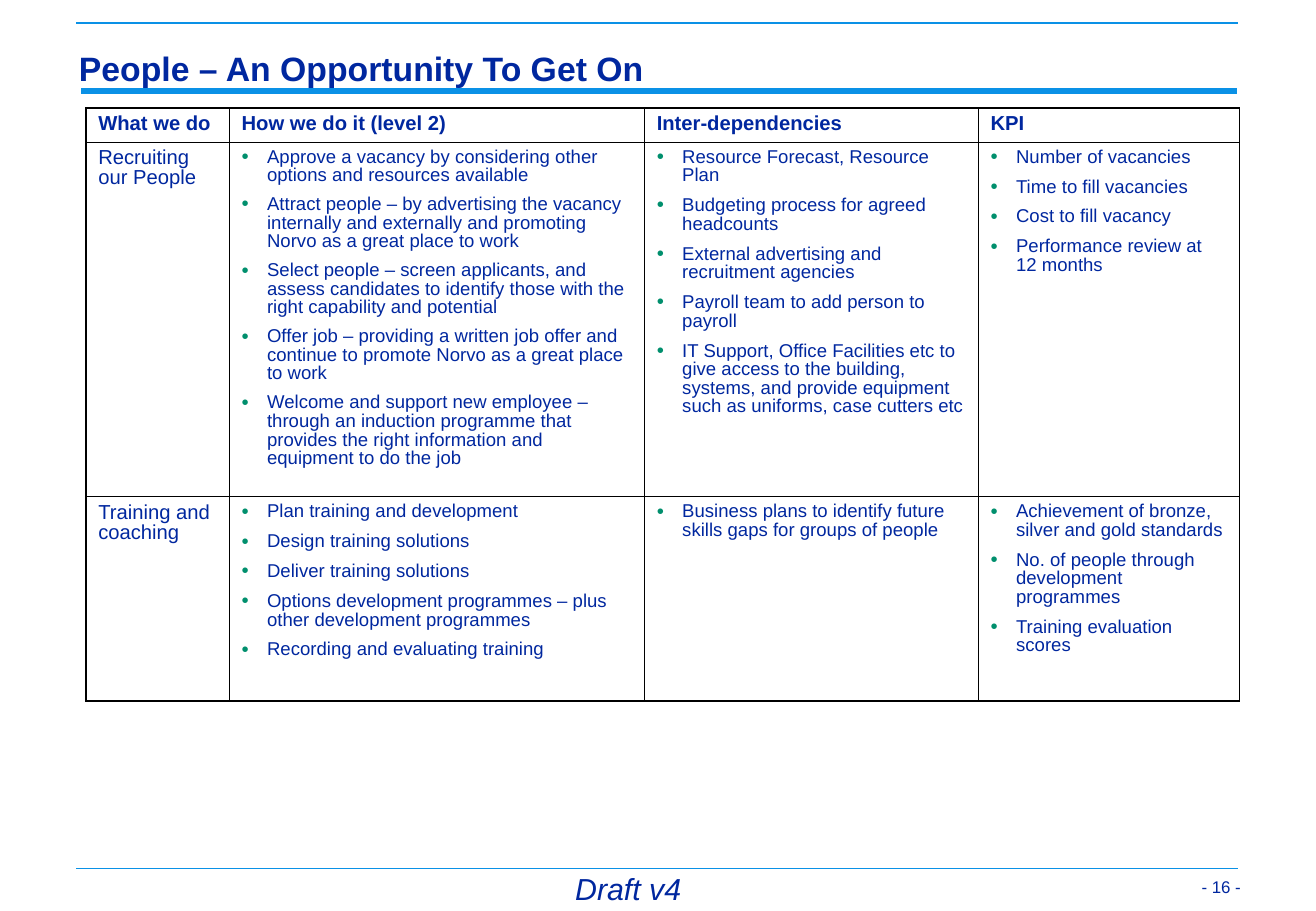
from dataclasses import dataclass

from lxml import etree
from pptx import Presentation
from pptx import util as u
from pptx.dml.color import RGBColor
from pptx.enum import shapes, text
from pptx.oxml import ns

COLORS = {"navy": "00279F", "blue": "0A91E6", "green": "008F6D",
          "black": "000000", "white": "FFFFFF"}
FONT = "Arial"
SLIDE_W, SLIDE_H = u.Inches(10.84), u.Inches(7.5)
COLUMNS = (10.89, 31.55, 25.37, 19.83)
ROWS = (3.73, 38.93, 22.4)
TABLE_LEFT, TABLE_TOP = 6.55, 11.87
OUTER, INNER = 1.08, 0.45


@dataclass(frozen=True)
class Rule:
    left: float
    right: float
    y: float
    weight: float


@dataclass(frozen=True)
class Label:
    content: str
    left: float
    top: float
    width: float
    height: float
    size: float
    inset: tuple[float, float]
    align: text.PP_ALIGN
    anchor: text.MSO_ANCHOR
    spacing: float = 1.0
    bold: bool = False
    italic: bool = False


@dataclass(frozen=True)
class Entry:
    lines: tuple[str, ...]
    bulleted: bool = True
    bold: bool = False
    after: float = 0.6


RULES = (
    Rule(6.18, 94, 10, 4),
    Rule(5.81, 94.1, 2.53, 1),
    Rule(5.81, 94.1, 95.33, 1),
)
LABELS = (
    Label("People – An Opportunity To Get On", 5.35, 4.4, 88.84, 5.87, 20, (0.07, 0.03),
          text.PP_ALIGN.LEFT, text.MSO_ANCHOR.BOTTOM, spacing=0.97, bold=True),
    Label("- 16 -", 89.39, 93.6, 5.54, 5.2, 10, (0.07, 0.03),
          text.PP_ALIGN.RIGHT, text.MSO_ANCHOR.BOTTOM),
    Label("Draft v4", 36.81, 95.33, 21.86, 4.93, 18, (0.1, 0.05),
          text.PP_ALIGN.CENTER, text.MSO_ANCHOR.TOP, spacing=0.9, italic=True),
)
HEADINGS = ("What we do", "How we do it (level 2)", "Inter-dependencies", "KPI")
GRID = (
    tuple(Entry((heading,), bulleted=False, bold=True) for heading in HEADINGS),
    (
        Entry(("Recruiting our People",), bulleted=False),
        Entry((
            "Approve a vacancy by considering other options and resources available",
            "Attract people – by advertising the vacancy internally and externally "
            "and promoting Norvo as a great place to work",
            "Select people – screen applicants, and assess candidates to identify "
            "those with the right capability and potential",
            "Offer job – providing a written job offer and continue to promote "
            "Norvo as a great place to work",
            "Welcome and support new employee – through an induction programme that "
            "provides the right information and equipment to do the job",
        ), after=0),
        Entry((
            "Resource Forecast, Resource Plan",
            "Budgeting process for agreed headcounts",
            "External advertising and recruitment agencies",
            "Payroll team to add person to payroll",
            "IT Support, Office Facilities etc to give access to the building, systems, "
            "and provide equipment such as uniforms, case cutters etc",
        )),
        Entry((
            "Number of vacancies",
            "Time to fill vacancies",
            "Cost to fill vacancy",
            "Performance review at 12 months",
        )),
    ),
    (
        Entry(("Training and coaching",), bulleted=False),
        Entry((
            "Plan training and development",
            "Design training solutions",
            "Deliver training solutions",
            "Options development programmes – plus other development programmes",
            "Recording and evaluating training",
        )),
        Entry(("Business plans to identify future skills gaps for groups of people",)),
        Entry((
            "Achievement of bronze, silver and gold standards",
            "No. of people through development programmes",
            "Training evaluation scores",
        )),
    ),
)


def across(share: float) -> int:
    return round(SLIDE_W * share / 100)


def down(share: float) -> int:
    return round(SLIDE_H * share / 100)


def color(name: str) -> RGBColor:
    return RGBColor.from_string(COLORS[name])


def style_runs(p, size: float, bold: bool = False, italic: bool = False) -> None:
    for r in p.runs:
        r.font.name, r.font.size = FONT, u.Pt(size)
        r.font.bold, r.font.italic = bold, italic
        r.font.color.rgb = color("navy")


def add_rule(s, rule: Rule) -> None:
    sp = s.shapes.add_connector(shapes.MSO_CONNECTOR.STRAIGHT, across(rule.left),
                                down(rule.y), across(rule.right), down(rule.y))
    sp.line.color.rgb = color("blue")
    sp.line.width = u.Pt(rule.weight)
    etree.SubElement(sp.element.spPr, ns.qn("a:effectLst"))


def add_label(s, label: Label) -> None:
    sp = s.shapes.add_textbox(across(label.left), down(label.top),
                              across(label.width), down(label.height))
    tf = sp.text_frame
    tf.word_wrap = True
    tf.vertical_anchor = label.anchor
    tf.margin_left = tf.margin_right = u.Inches(label.inset[0])
    tf.margin_top = tf.margin_bottom = u.Inches(label.inset[1])
    tf.text = label.content
    p = tf.paragraphs[0]
    p.alignment, p.line_spacing = label.align, label.spacing
    style_runs(p, label.size, label.bold, label.italic)


def add_bullet(p) -> None:
    pPr = p._p.get_or_add_pPr()
    indent = u.Inches(0.21)
    pPr.set("marL", str(indent))
    pPr.set("indent", str(-indent))
    tint = etree.SubElement(pPr, ns.qn("a:buClr"))
    etree.SubElement(tint, ns.qn("a:srgbClr"), val=COLORS["green"])
    etree.SubElement(pPr, ns.qn("a:buSzPct"), val="110000")
    etree.SubElement(pPr, ns.qn("a:buFont"), typeface=FONT)
    etree.SubElement(pPr, ns.qn("a:buChar"), char="•")


def add_borders(cell, row: int, col: int) -> None:
    edges = {"lnL": col == 0, "lnR": col == len(COLUMNS) - 1,
             "lnT": row == 0, "lnB": row == len(ROWS) - 1}
    tcPr = cell._tc.get_or_add_tcPr()
    for tag, outside in edges.items():
        width = u.Pt(OUTER if outside else INNER)
        ln = etree.SubElement(tcPr, ns.qn(f"a:{tag}"), w=str(width))
        fill = etree.SubElement(ln, ns.qn("a:solidFill"))
        etree.SubElement(fill, ns.qn("a:srgbClr"), val=COLORS["black"])


def fill_cell(cell, entry: Entry) -> None:
    cell.fill.solid()
    cell.fill.fore_color.rgb = color("white")
    tf = cell.text_frame
    tf.text = "\n".join(entry.lines)
    for i, p in enumerate(tf.paragraphs):
        if entry.bulleted:
            add_bullet(p)
            p.space_before = u.Pt(6.1 if i else 0)
            p.space_after = u.Pt(entry.after)
        p.line_spacing = 0.9
        style_runs(p, 11 if entry.bulleted else 12, entry.bold)


def add_people_table(s) -> None:
    table = s.shapes.add_table(len(ROWS), len(COLUMNS), across(TABLE_LEFT), down(TABLE_TOP),
                               across(sum(COLUMNS)), down(sum(ROWS))).table
    table.first_row = table.horz_banding = False
    for column, share in zip(table.columns, COLUMNS):
        column.width = across(share)
    for i, (row, share) in enumerate(zip(table.rows, ROWS)):
        row.height = down(share)
        for j, entry in enumerate(GRID[i]):
            add_borders(table.cell(i, j), i, j)
            fill_cell(table.cell(i, j), entry)


def main() -> None:
    prs = Presentation()
    prs.slide_width, prs.slide_height = SLIDE_W, SLIDE_H
    s = prs.slides.add_slide(prs.slide_layouts[6])
    for rule in RULES:
        add_rule(s, rule)
    for label in LABELS:
        add_label(s, label)
    add_people_table(s)
    prs.save("out.pptx")


if __name__ == "__main__":
    main()
